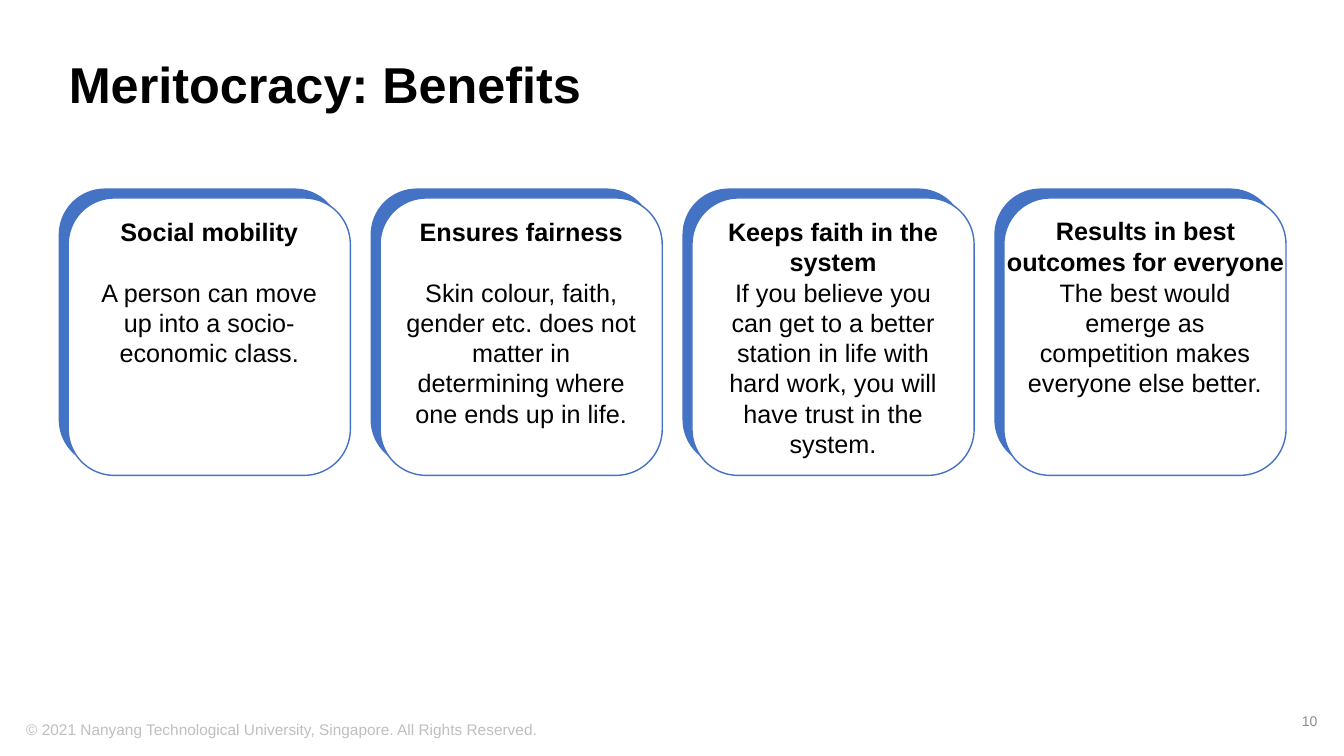
from pptx import Presentation
from pptx import util as u
from pptx.dml.color import RGBColor
from pptx.enum import shapes, text

BLUE, WHITE, BLACK = "4472C4", "FFFFFF", "000000"
CENTER = text.PP_ALIGN.CENTER


def color(value):
    return RGBColor.from_string(value)


def add_run(p, words, size, value, bold=False, align=text.PP_ALIGN.LEFT):
    p.alignment = align
    r = p.add_run()
    r.text = words
    r.font.name = "Arial"
    r.font.size = u.Pt(size)
    r.font.bold = bold
    r.font.color.rgb = color(value)


prs = Presentation()
prs.slide_width, prs.slide_height = u.Cm(33.87), u.Cm(19.05)
s = prs.slides.add_slide(prs.slide_layouts[5])

# Title
title = s.shapes.title
title.left, title.top, title.width, title.height = u.Cm(1.48), u.Cm(1.02), u.Cm(29.21), u.Cm(2.34)
tf = title.text_frame
tf.vertical_anchor = text.MSO_ANCHOR.MIDDLE
tf.paragraphs[0].line_spacing = 0.9
add_run(tf.paragraphs[0], "Meritocracy: Benefits", 36, BLACK, True)

# Footer and slide number
footer_items = [
    (0.41, 18.08, 20.32, 0.58, "© 2021 Nanyang Technological University, Singapore. All Rights Reserved.",
     11, "BFBFBF", text.PP_ALIGN.LEFT),
    (25.83, 17.65, 7.62, 1.02, "10", 10, "8C8C8C", text.PP_ALIGN.RIGHT),
]
for x, y, w, h, words, size, value, align in footer_items:
    tf = s.shapes.add_textbox(u.Cm(x), u.Cm(y), u.Cm(w), u.Cm(h)).text_frame
    tf.word_wrap = True
    tf.vertical_anchor = text.MSO_ANCHOR.MIDDLE
    add_run(tf.paragraphs[0], words, size, value, align=align)

# Benefit cards: heading, gap before the body in points, body
benefits = [
    ("Social mobility", 21.6, "A person can move up into a socio-economic class."),
    ("Ensures fairness", 21.6,
     "Skin colour, faith, gender etc. does not matter in determining where one ends up in life."),
    ("Keeps faith in the system", 0,
     "If you believe you can get to a better station in life with hard work, "
     "you will have trust in the system."),
    (None, 0, "The best would emerge as competition makes everyone else better."),
]
left, top, width, height = 1.48, 4.75, 7.11, 6.99
pitch, offset = 7.86, 0.24
for i, (heading, gap, body) in enumerate(benefits):
    x = left + i * pitch
    for shift, fill, line in ((0, BLUE, None), (offset, WHITE, BLUE)):
        sp = s.shapes.add_shape(shapes.MSO_SHAPE.ROUNDED_RECTANGLE, u.Cm(x + shift),
                                u.Cm(top + shift), u.Cm(width), u.Cm(height))
        sp.shadow.inherit = False
        sp.fill.solid()
        sp.fill.fore_color.rgb = color(fill)
        if line:
            sp.line.color.rgb = color(line)
            sp.line.width = u.Pt(1)
        else:
            sp.line.fill.background()
    tf = sp.text_frame
    tf.word_wrap = True
    tf.vertical_anchor = text.MSO_ANCHOR.TOP
    p = tf.paragraphs[0]
    if heading:
        add_run(p, heading, 18, BLACK, True, CENTER)
        p = tf.add_paragraph()
        p.space_before = u.Pt(gap)
    else:
        tf.margin_top = u.Cm(1.65)
    add_run(p, body, 18, BLACK, align=CENTER)

# Wide heading over the last card
sp = s.shapes.add_textbox(u.Cm(left + 3 * pitch), u.Cm(5.31), u.Cm(7.62), u.Cm(1.8))
tf = sp.text_frame
tf.word_wrap = True
add_run(tf.paragraphs[0], "Results in best outcomes for everyone", 18, BLACK, True, CENTER)

prs.save("out.pptx")
